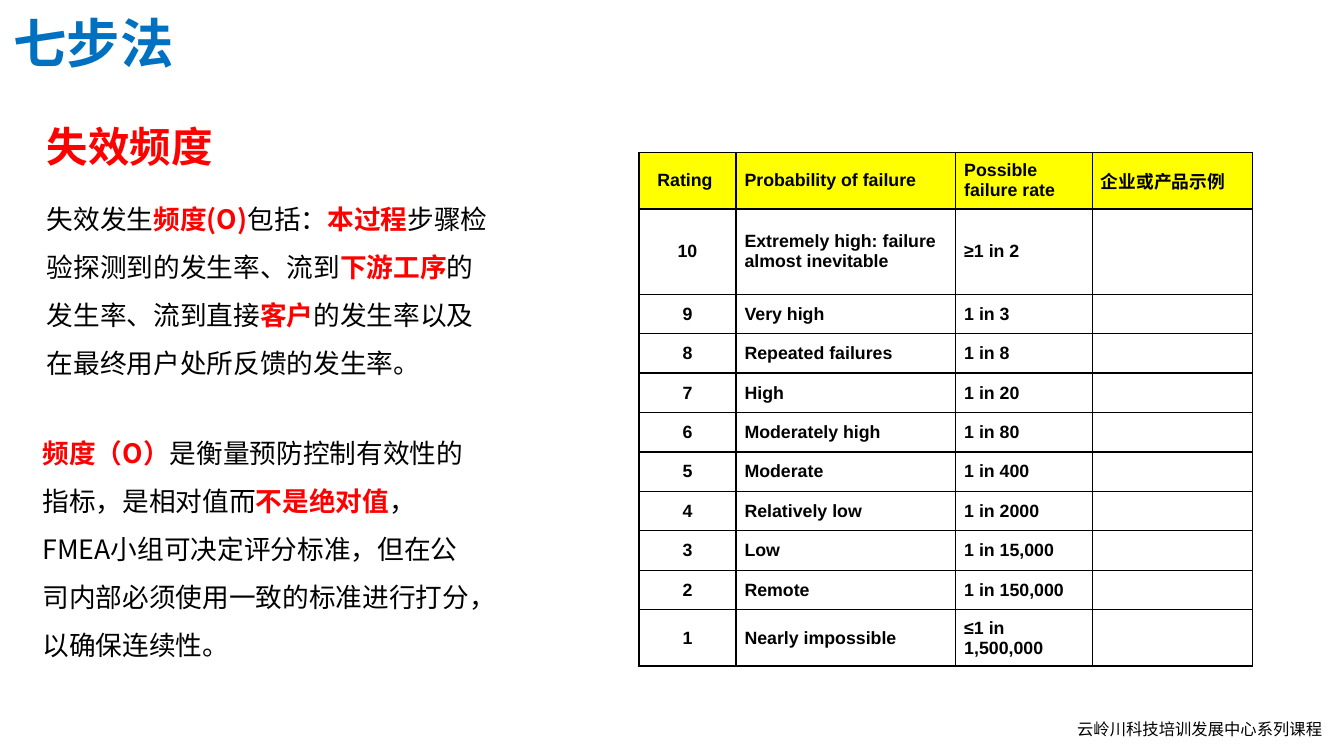
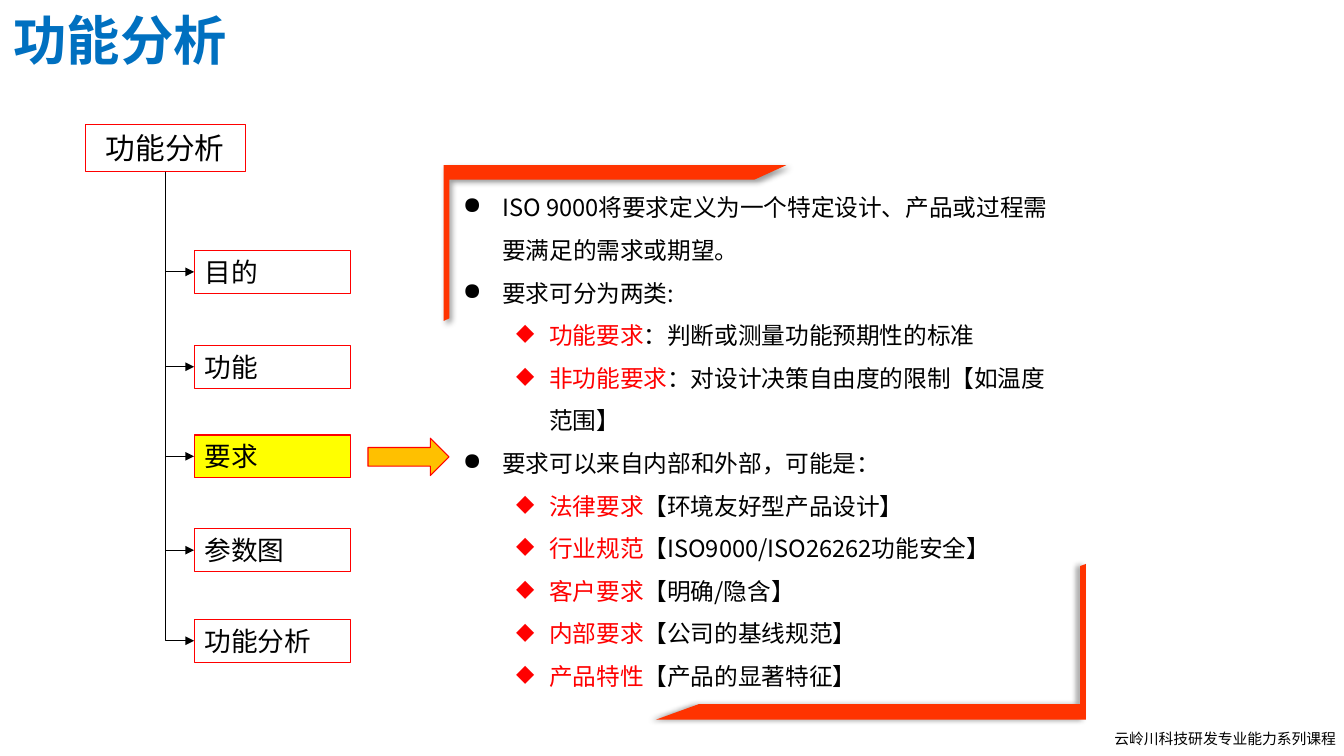
from typing import NamedTuple

from lxml import etree
from pptx import Presentation
from pptx import util as u
from pptx.dml import color as dml
from pptx.enum import shapes, text
from pptx.oxml import ns

CELL = u.Inches(0.1)
COLUMNS, ROWS = 126, 70.9
COLORS = {
    "title": "0070C0",
    "accent": "FF0000",
    "ink": "000000",
    "highlight": "FFFF00",
    "arrow": "FFC000",
    "frame": "FF3300",
}
CJK, LATIN = "Noto Sans CJK SC", "Arial"
SHAPE, ALIGN, ANCHOR = shapes.MSO_SHAPE, text.PP_ALIGN, text.MSO_ANCHOR
BULLETS = [("●", 0.37, 0.37), ("◆", 0.81, 0.31)]

RATINGS = [
    ("Rating ", "Probability of failure", "Possible failure rate", "企业或产品示例"),
    ("10", "Extremely high: failure almost inevitable", "≥1 in 2", ""),
    ("9", "Very high", "1 in 3", ""),
    ("8", "Repeated failures", "1 in 8", ""),
    ("7", "High", "1 in 20", ""),
    ("6", "Moderately high", "1 in 80", ""),
    ("5", "Moderate", "1 in 400", ""),
    ("4", "Relatively low", "1 in 2000", ""),
    ("3", "Low", "1 in 15,000", ""),
    ("2", "Remote", "1 in 150,000", ""),
    ("1", "Nearly impossible", "≤1 in 1,500,000", ""),
]
RATING_COLUMNS = [9.1, 20.6, 12.8, 15]
RATING_ROWS = [5.3, 8] + [3.7] * 8 + [5.3]

OCCURRENCE = (
    "失效发生*频度(O)*包括：*本过程*步骤检验探测到的发生率、流到*下游工序*"
    "的发生率、流到直接*客户*的发生率以及在最终用户处所反馈的发生率。"
)
SCORING = (
    "*频度（O）*是衡量预防控制有效性的指标，是相对值而*不是绝对值*，"
    "FMEA小组可决定评分标准，但在公司内部必须使用一致的标准进行打分，以确保连续性。"
)
BRANCHES = [("目的", 11.8), ("功能", 20.7), ("要求", 29.1), ("参数图", 37.9), ("功能分析", 46.4)]
REQUIREMENTS = [
    (0, "ISO 9000将要求定义为一个特定设计、产品或过程需要满足的需求或期望。"),
    (0, "要求可分为两类:"),
    (1, "*功能要求*：判断或测量功能预期性的标准"),
    (1, "*非功能要求*：对设计决策自由度的限制【如温度范围】"),
    (0, "要求可以来自内部和外部，可能是："),
    (1, "*法律要求*【环境友好型产品设计】"),
    (1, "*行业规范*【ISO9000/ISO26262功能安全】"),
    (1, "*客户要求*【明确/隐含】"),
    (1, "*内部要求*【公司的基线规范】"),
    (1, "*产品特性*【产品的显著特征】"),
]


class Box(NamedTuple):
    x: float
    y: float
    w: float
    h: float

    def inner(self, x, y, w, h):
        return Box(self.x + x, self.y + y, w, h)

    def emu(self):
        return [round(length * CELL) for length in self]


PAGE = Box(0, 0, COLUMNS, ROWS)


def rgb(name):
    return dml.RGBColor.from_string(COLORS[name])


def add_xml(parent, tag, **attributes):
    return etree.SubElement(parent, ns.qn(tag), attributes)


def write(para, content, size=18, color="ink", bold=False, accent_bold=False,
          font=CJK, align=None, spacing=None, level=None):
    para.alignment = align
    para.line_spacing = spacing
    if level is not None:
        mark, margin, hanging = BULLETS[level]
        para.level = level
        properties = para._p.get_or_add_pPr()
        properties.set("marL", str(u.Inches(margin)))
        properties.set("indent", str(-u.Inches(hanging)))
        add_xml(properties, "a:buChar", char=mark)
    for index, piece in enumerate(content.split("*")):
        if not piece:
            continue
        accented = index % 2 == 1
        span = para.add_run()
        span.text = piece
        span.font.size = u.Pt(size)
        span.font.name = font
        span.font.bold = accent_bold if accented else bold
        span.font.color.rgb = rgb("accent" if accented else color)
        add_xml(span._r.get_or_add_rPr(), "a:ea", typeface=CJK)


def add_text(page, box, content, wrap=True, **style):
    frame = page.shapes.add_textbox(*box.emu()).text_frame
    frame.word_wrap = wrap
    frame.auto_size = text.MSO_AUTO_SIZE.SHAPE_TO_FIT_TEXT
    write(frame.paragraphs[0], content, **style)
    return frame


def add_block(page, box, kind, fill=None, line=None, adjustments=()):
    shape = page.shapes.add_shape(kind, *box.emu())
    shape.shadow.inherit = False
    for index, value in enumerate(adjustments):
        shape.adjustments[index] = value
    if fill:
        shape.fill.solid()
        shape.fill.fore_color.rgb = rgb(fill)
    else:
        shape.fill.background()
    if line:
        shape.line.color.rgb = rgb(line)
        shape.line.width = u.Pt(0.75)
    else:
        shape.line.fill.background()
    return shape


def add_page(deck, title, title_top, footer, footer_box, footer_size):
    page = deck.slides.add_slide(deck.slide_layouts[6])
    add_text(page, footer_box, footer, wrap=False, size=footer_size)
    add_text(page, PAGE.inner(0.3, title_top, 49.6, 7.1), title,
             size=36, color="title", bold=True)
    return page


def border_cell(cell):
    properties = cell._tc.get_or_add_tcPr()
    for index, side in enumerate(("a:lnL", "a:lnR", "a:lnT", "a:lnB")):
        line = etree.Element(ns.qn(side), w=str(u.Pt(1)))
        add_xml(add_xml(line, "a:solidFill"), "a:srgbClr", val=COLORS["ink"])
        properties.insert(index, line)


def add_ratings(page, box):
    table = page.shapes.add_table(len(RATING_ROWS), len(RATING_COLUMNS), *box.emu()).table
    table.first_row = table.horz_banding = False
    for column, width in zip(table.columns, RATING_COLUMNS):
        column.width = round(width * CELL)
    for row, height in zip(table.rows, RATING_ROWS):
        row.height = round(height * CELL)
    for y, record in enumerate(RATINGS):
        for x, value in enumerate(record):
            cell = table.cell(y, x)
            cell.vertical_anchor = ANCHOR.MIDDLE
            cell.margin_left = cell.margin_right = u.Inches(0.08)
            cell.margin_top = cell.margin_bottom = 0
            if y == 0:
                cell.fill.solid()
                cell.fill.fore_color.rgb = rgb("highlight")
            else:
                cell.fill.background()
            border_cell(cell)
            write(cell.text_frame.paragraphs[0], value, size=12, bold=True, font=LATIN,
                  align=ALIGN.CENTER if x == 0 else ALIGN.LEFT)


def add_explanation(page, box):
    add_text(page, box.inner(0.4, 0, 17.7, 5.7), "失效频度", wrap=False,
             size=28, color="accent", bold=True)
    add_text(page, box.inner(0.4, 6.1, 44.3, 18.7), OCCURRENCE, accent_bold=True, spacing=1.5)
    add_text(page, box.inner(0, 28.1, 43.2, 23.2), SCORING, accent_bold=True, spacing=1.5)


def add_node(page, box, label, size=18, align=ALIGN.LEFT, fill=None):
    node = add_block(page, box, SHAPE.RECTANGLE, fill=fill, line="accent")
    frame = node.text_frame
    frame.word_wrap = True
    frame.vertical_anchor = ANCHOR.TOP
    frame.auto_size = text.MSO_AUTO_SIZE.SHAPE_TO_FIT_TEXT
    write(frame.paragraphs[0], label, size=size, align=align)
    return node


def join(page, root, node):
    start_x, start_y = root.left + root.width // 2, root.top + root.height
    end_x, end_y = node.left, node.top + node.height // 2
    link = page.shapes.add_connector(shapes.MSO_CONNECTOR.ELBOW, start_x, start_y, end_x, end_y)
    link.begin_connect(root, 2)
    link.end_connect(node, 1)
    link.width, link.height = end_y - start_y, end_x - start_x
    link.left = (start_x + end_x - link.width) // 2
    link.top = (start_y + end_y - link.height) // 2
    properties = link._element.spPr
    properties.find(ns.qn("a:prstGeom")).set("prst", "bentConnector2")
    transform = properties.find(ns.qn("a:xfrm"))
    transform.set("rot", "16200000")
    transform.set("flipH", "1")
    link.line.color.rgb = rgb("ink")
    link.line.width = u.Pt(0.75)
    add_xml(properties.find(ns.qn("a:ln")), "a:tailEnd", type="triangle")
    add_xml(properties, "a:effectLst")


def add_tree(page, box):
    root = add_node(page, box.inner(0, 0, 15, 4.4), "功能分析", size=20, align=ALIGN.CENTER)
    for label, top in BRANCHES:
        fill = "highlight" if label == "要求" else None
        node = add_node(page, box.inner(10.2, top, 14.7, 4), label, fill=fill)
        join(page, root, node)
    add_block(page, box.inner(26.5, 29.4, 7.6, 3.5), SHAPE.RIGHT_ARROW,
              fill="arrow", line="accent")


def add_corner(page, box, thickness, direction, flipped=False):
    corner = add_block(page, box, SHAPE.HALF_FRAME, fill="frame", adjustments=(thickness, 0.037))
    properties = corner._element.spPr
    if flipped:
        transform = properties.find(ns.qn("a:xfrm"))
        transform.set("flipH", "1")
        transform.set("flipV", "1")
    shadow = add_xml(properties.find(ns.qn("a:effectLst")), "a:outerShdw",
                     blurRad=str(u.Pt(4)), dist=str(u.Pt(3)),
                     dir=str(direction * 60000), algn="tl", rotWithShape="0")
    shade = add_xml(shadow, "a:srgbClr", val=COLORS["ink"])
    add_xml(shade, "a:alpha", val="40000")


def add_requirements(page, box):
    frame = add_text(page, box.inner(0.8, 0.8, 58.1, 49), REQUIREMENTS[0][1],
                     size=16, spacing=1.5, level=0)
    for level, content in REQUIREMENTS[1:]:
        write(frame.add_paragraph(), content, size=16, spacing=1.5, level=level)
    add_corner(page, box.inner(0, 0, 32.1, 14.6), 0.092, 45)
    add_corner(page, box.inner(box.w - 40.3, box.h - 14.6, 40.3, 14.6), 0.099, 180, flipped=True)


def main():
    deck = Presentation()
    deck.slide_width, deck.slide_height = PAGE.emu()[2:]

    page = add_page(deck, "七步法", 0.5, "云岭川科技培训发展中心系列课程",
                    PAGE.inner(100, 67, 25.2, 2.9), 11)
    add_explanation(page, PAGE.inner(3, 10.9, 44.7, 51.3))
    add_ratings(page, PAGE.inner(59.9, 14.3, sum(RATING_COLUMNS), sum(RATING_ROWS)))

    page = add_page(deck, "功能分析", 0.2, "云岭川科技研发专业能力系列课程",
                    PAGE.inner(103.5, 67.9, 23.7, 2.7), 10)
    add_tree(page, PAGE.inner(8, 11.7, 34.1, 50.4))
    add_requirements(page, PAGE.inner(41.6, 15.5, 60.2, 52))

    deck.save("out.pptx")


if __name__ == "__main__":
    main()
